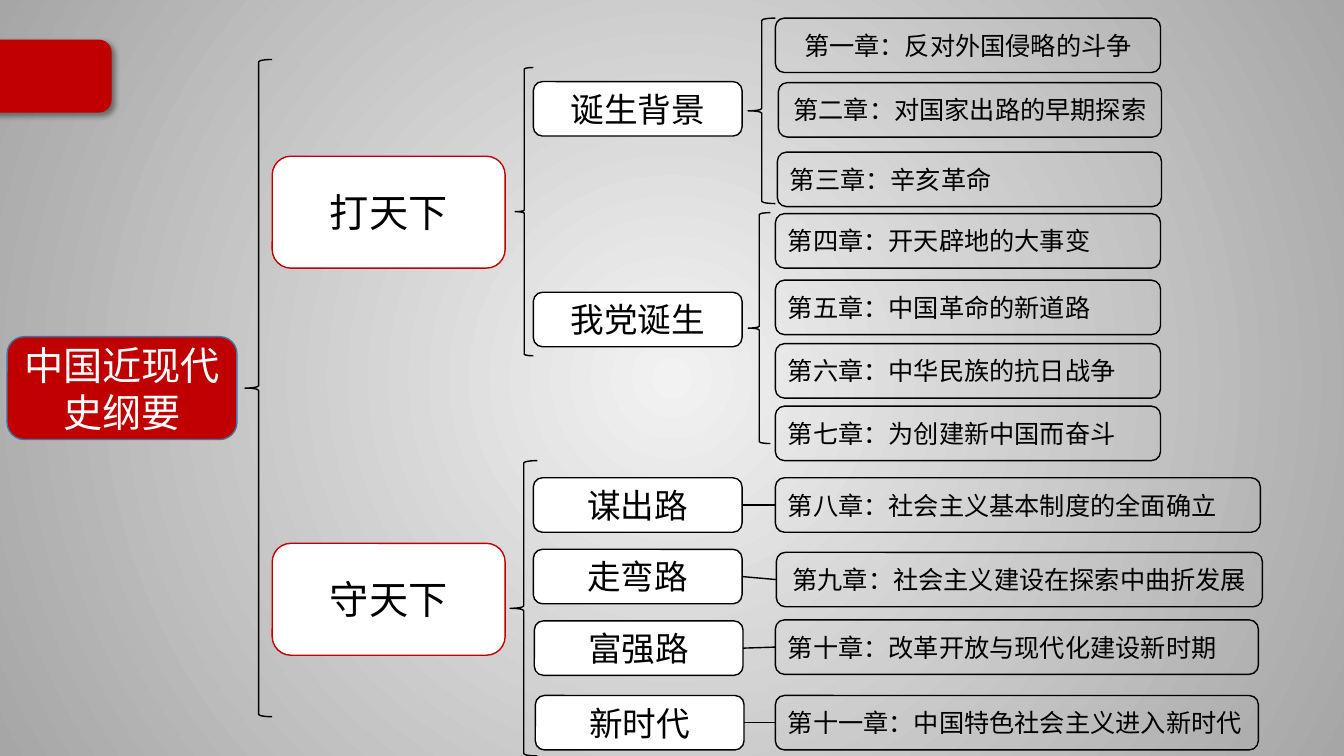
from lxml import etree
from pptx import Presentation
from pptx.dml.color import RGBColor
from pptx.enum import shapes, text
from pptx.oxml import ns
from pptx.util import Inches, Pt

FONT = "Noto Sans CJK SC"
RED, BLACK, WHITE = "C00000", "000000", "FFFFFF"
NODE_HEIGHT = 0.54

# Left, top, width, height
BRACES = [
    (2.43, 0.59, 0.27, 6.52),
    (5.11, 0.67, 0.18, 2.86),
    (5.06, 4.57, 0.27, 2.93),
    (7.42, 0.18, 0.27, 1.84),
    (7.42, 2.11, 0.22, 2.29),
]
PARTS = [("打天下", 1.55), ("守天下", 5.39)]
# Label, left, top
TOPICS = [
    ("诞生背景", 5.29, 0.81),
    ("我党诞生", 5.29, 2.9),
    ("谋出路", 5.29, 4.74),
    ("走弯路", 5.29, 5.45),
    ("富强路", 5.3, 6.16),
    ("新时代", 5.31, 6.9),
]
# Label, left, top, width, centred
CHAPTERS = [
    ("第一章：反对外国侵略的斗争", 7.69, 0.18, 3.82, True),
    ("第二章：对国家出路的早期探索", 7.72, 0.82, 3.8, True),
    ("第三章：辛亥革命", 7.71, 1.51, 3.81, False),
    ("第四章：开天辟地的大事变", 7.69, 2.12, 3.82, False),
    ("第五章：中国革命的新道路", 7.69, 2.78, 3.82, False),
    ("第六章：中华民族的抗日战争", 7.69, 3.41, 3.82, False),
    ("第七章：为创建新中国而奋斗", 7.69, 4.03, 3.82, False),
    ("第八章：社会主义基本制度的全面确立", 7.69, 4.74, 4.81, False),
    ("第九章：社会主义建设在探索中曲折发展", 7.7, 5.48, 4.82, True),
    ("第十章：改革开放与现代化建设新时期", 7.69, 6.15, 4.79, False),
    ("第十一章：中国特色社会主义进入新时代", 7.69, 6.9, 4.79, False),
]


def color(value):
    return RGBColor.from_string(value)


def set_background(page):
    fill = page.background.fill
    fill.gradient()
    for stop, value in zip(fill.gradient_stops, ("F2F2F2", "A6A6A6")):
        stop.color.rgb = color(value)
    # Circular gradient from the centre of the slide
    gradient = page.element.find(".//" + ns.qn("a:gradFill"))
    gradient.remove(gradient.find(ns.qn("a:lin")))
    circle = etree.SubElement(gradient, ns.qn("a:path"), path="circle")
    etree.SubElement(circle, ns.qn("a:fillToRect"),
                     l="50000", t="50000", r="50000", b="50000")


def add_outline(page, kind, place, line=BLACK, fill=None):
    shape = page.shapes.add_shape(kind, *(Inches(length) for length in place))
    shape.shadow.inherit = False
    if fill:
        shape.fill.solid()
        shape.fill.fore_color.rgb = color(fill)
    else:
        shape.fill.background()
    shape.line.color.rgb = color(line)
    shape.line.width = Pt(1)
    return shape


def add_node(page, label, place, size, line=BLACK, fill=None,
             ink=BLACK, centred=True):
    box = add_outline(page, shapes.MSO_SHAPE.ROUNDED_RECTANGLE, place, line, fill)
    frame = box.text_frame
    frame.word_wrap = True
    frame.vertical_anchor = text.MSO_ANCHOR.MIDDLE
    para = frame.paragraphs[0]
    para.text = label
    para.alignment = text.PP_ALIGN.CENTER if centred else text.PP_ALIGN.LEFT
    para.font.name = FONT
    para.font.size = Pt(size)
    para.font.color.rgb = color(ink)
    # East Asian typeface
    properties = box.element.find(".//" + ns.qn("a:defRPr"))
    etree.SubElement(properties, ns.qn("a:ea"), typeface=FONT)
    return box


def add_corner_tab(page):
    tab = add_outline(page, shapes.MSO_SHAPE.ROUNDED_RECTANGLE,
                      (-0.18, 0.4, 1.28, 0.71), RED, RED)
    effects = tab.element.spPr.find(ns.qn("a:effectLst"))
    shadow = etree.SubElement(effects, ns.qn("a:outerShdw"), blurRad=str(Pt(4)),
                              dist=str(Pt(3)), dir=str(45 * 60000))
    tint = etree.SubElement(shadow, ns.qn("a:srgbClr"), val=BLACK)
    etree.SubElement(tint, ns.qn("a:alpha"), val="40000")


def join(page, chapter, topic):
    link = page.shapes.add_connector(shapes.MSO_CONNECTOR.STRAIGHT, 0, 0, 0, 0)
    link.begin_connect(chapter, 1)
    link.end_connect(topic, 3)
    link.line.color.rgb = color(BLACK)
    link.line.width = Pt(1)
    etree.SubElement(link.element.spPr, ns.qn("a:effectLst"))


def main():
    deck = Presentation()
    deck.slide_width, deck.slide_height = Inches(13.33), Inches(7.5)
    page = deck.slides.add_slide(deck.slide_layouts[6])
    set_background(page)
    add_corner_tab(page)

    # Course and its two parts
    add_node(page, "中国近现代史纲要", (0.07, 3.34, 2.28, 1.02), 28,
             "43739E", RED, WHITE)
    for label, top in PARTS:
        add_node(page, label, (2.7, top, 2.31, 1.11), 28, RED, WHITE)

    # Braces
    for place in BRACES:
        add_outline(page, shapes.MSO_SHAPE.LEFT_BRACE, place)

    # Topics and chapters
    topics = [add_node(page, label, (left, top, 2.07, NODE_HEIGHT), 24, fill=WHITE)
              for label, left, top in TOPICS]
    chapters = [add_node(page, label, (left, top, width, NODE_HEIGHT), 18,
                         centred=centred)
                for label, left, top, width, centred in CHAPTERS]

    # The last four topics have one chapter each
    for chapter, topic in zip(chapters[-4:], topics[-4:]):
        join(page, chapter, topic)

    deck.save("out.pptx")


if __name__ == "__main__":
    main()
